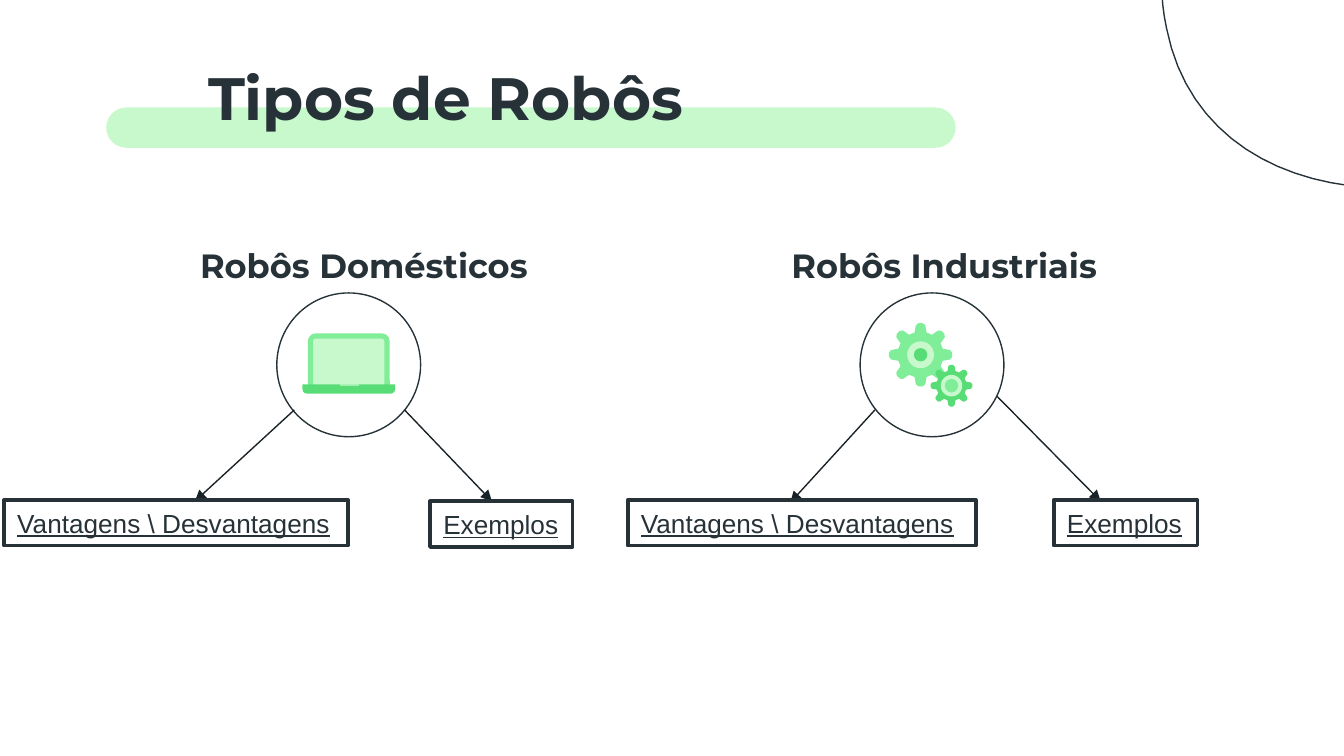
import math
from dataclasses import dataclass

from lxml import etree
from pptx import Presentation
from pptx import util as u
from pptx.dml import color
from pptx.enum import shapes, text
from pptx.oxml import ns
from pptx.slide import Slide

Point = tuple[float, float]
Frame = tuple[float, float, float, float]

COLORS = {
    "ink": "263238",
    "arrow": "192226",
    "paper": "FFFFFF",
    "pale": "C7F9CC",
    "light": "80ED99",
    "deep": "58DD76",
}
HEADING = {"name": "Montserrat", "bold": True}
TITLE = HEADING | {"size": u.Pt(32)}
SUBTITLE = HEADING | {"size": u.Pt(18)}
LABEL = {"name": "Arial", "size": u.Pt(14), "underline": True}
KIND = shapes.MSO_SHAPE
TOOTH = [(-0.045, -0.165), (-0.035, -0.22), (-0.015, -0.235),
         (0.015, -0.235), (0.035, -0.22), (0.045, -0.165)]
BLOB_START = (12.11, -1.85)
BLOB_CURVES = [
    ((12.03, -1.85), (11.93, -1.82), (11.83, -1.77)),
    ((11.44, -1.57), (11.41, -1.13), (10.88, -1.11)),
    ((10.83, -1.1), (10.78, -1.1), (10.73, -1.1)),
    ((10.48, -1.1), (10.24, -1.13), (10.02, -1.13)),
    ((9.75, -1.13), (9.48, -1.09), (9.18, -0.93)),
    ((8.68, -0.66), (8.58, -0.26), (8.68, 0.21)),
    ((8.84, 1.02), (9.54, 1.4), (10.34, 1.4)),
    ((10.69, 1.4), (11.05, 1.33), (11.39, 1.2)),
    ((12.49, 0.78), (13, -0.2), (12.75, -1.17)),
    ((12.68, -1.46), (12.47, -1.85), (12.11, -1.85)),
]


@dataclass
class Branch:
    label: str
    frame: Frame
    start: Point
    end: Point


@dataclass
class Topic:
    heading: str
    heading_frame: Frame
    circle_left: float
    branches: list[Branch]


@dataclass
class Gear:
    center: Point
    scale: float
    body: str
    ring_radius: float
    hub_radius: float
    hub: str


TOPICS = [
    Topic("Robôs Domésticos", (1.39, 1.72, 2.68, 0.41), 2.06, [
        Branch("Vantagens \\ Desvantagens", (0.03, 3.72, 2.56, 0.34), (2.19, 3.05), (1.45, 3.73)),
        Branch("Exemplos", (3.2, 3.73, 1.06, 0.34), (3.01, 3.05), (3.66, 3.73)),
    ]),
    Topic("Robôs Industriais", (5.79, 1.72, 2.52, 0.49), 6.4, [
        Branch("Vantagens \\ Desvantagens", (4.67, 3.72, 2.59, 0.34), (6.51, 3.05), (5.88, 3.74)),
        Branch("Exemplos", (7.84, 3.72, 1.07, 0.34), (7.42, 2.95), (8.19, 3.73)),
    ]),
]
GEARS = [
    Gear((6.85, 2.64), 1, "light", 0.1, 0.05, "deep"),
    Gear((7.08, 2.87), 0.66, "deep", 0.08, 0.05, "light"),
]
LAPTOP = [
    (KIND.ROUND_2_SAME_RECTANGLE, (2.29, 2.48, 0.61, 0.42), "light", (0.14, 0)),
    (KIND.ROUND_2_SAME_RECTANGLE, (2.33, 2.52, 0.53, 0.38), "pale", (0.05, 0)),
    (KIND.ROUND_2_SAME_RECTANGLE, (2.25, 2.86, 0.69, 0.07), "deep", (0.1, 0.5)),
    (KIND.RECTANGLE, (2.53, 2.86, 0.14, 0.01), "pale", ()),
]


def rgb(name: str) -> color.RGBColor:
    return color.RGBColor.from_string(COLORS[name])


def paint(shape, fill: str = "", line: str = "", width: float = 0.75):
    shape.shadow.inherit = False
    if fill:
        shape.fill.solid()
        shape.fill.fore_color.rgb = rgb(fill)
    else:
        shape.fill.background()
    if line:
        shape.line.color.rgb = rgb(line)
        shape.line.width = u.Pt(width)
    else:
        shape.line.fill.background()
    return shape


def add_preset(page: Slide, kind, frame: Frame, adjustments=(), **style):
    shape = page.shapes.add_shape(kind, *map(u.Inches, frame))
    for index, value in enumerate(adjustments):
        shape.adjustments[index] = value
    return paint(shape, **style)


def add_outline(page: Slide, points: list[Point], **style) -> None:
    corners = [(u.Inches(x), u.Inches(y)) for x, y in points]
    builder = page.shapes.build_freeform(*corners[0])
    builder.add_line_segments(corners[1:], close=True)
    paint(builder.convert_to_shape(), **style)


def write(box, words: str, style: dict, anchor, margins: dict) -> None:
    frame = box.text_frame
    settings = {"word_wrap": True, "vertical_anchor": anchor} | margins
    for name, value in settings.items():
        setattr(frame, name, value)
    paragraph = frame.paragraphs[0]
    paragraph.alignment = text.PP_ALIGN.LEFT
    span = paragraph.add_run()
    span.text = words
    for name, value in style.items():
        setattr(span.font, name, value)
    span.font.color.rgb = rgb("ink")


def add_heading(page: Slide, words: str, frame: Frame, style: dict) -> None:
    box = page.shapes.add_textbox(*map(u.Inches, frame))
    margins = {f"margin_{side}": u.Inches(0.1) for side in ("left", "right", "top", "bottom")}
    write(box, words, style, text.MSO_ANCHOR.TOP, margins)


def add_arrow(page: Slide, start: Point, end: Point) -> None:
    arrow = page.shapes.add_connector(shapes.MSO_CONNECTOR.STRAIGHT, *map(u.Inches, start + end))
    arrow.line.color.rgb = rgb("arrow")
    arrow.line.width = u.Pt(0.75)
    etree.SubElement(arrow.line._get_or_add_ln(), ns.qn("a:tailEnd"), type="triangle")
    etree.SubElement(arrow._element.spPr, ns.qn("a:effectLst"))


def add_branch(page: Slide, branch: Branch) -> None:
    add_arrow(page, branch.start, branch.end)
    box = add_preset(page, KIND.RECTANGLE, branch.frame, fill="paper", line="ink", width=2)
    margins = {"margin_left": u.Inches(0.1), "margin_right": u.Inches(0.05)}
    write(box, branch.label, LABEL, text.MSO_ANCHOR.MIDDLE, margins)


def add_topic(page: Slide, topic: Topic) -> None:
    add_heading(page, topic.heading, topic.heading_frame, SUBTITLE)
    add_preset(page, KIND.OVAL, (topic.circle_left, 2.18, 1.07, 1.07), line="ink")
    for branch in topic.branches:
        add_branch(page, branch)


def add_gear(page: Slide, gear: Gear) -> None:
    x, y = gear.center
    points = []
    for tooth in range(8):
        cos, sin = math.cos(tooth * math.pi / 4), math.sin(tooth * math.pi / 4)
        points += [(x + gear.scale * (a * cos - b * sin), y + gear.scale * (a * sin + b * cos))
                   for a, b in TOOTH]
    add_outline(page, points, fill=gear.body)
    for radius, fill in ((gear.ring_radius, "pale"), (gear.hub_radius, gear.hub)):
        add_preset(page, KIND.OVAL, (x - radius, y - radius, 2 * radius, 2 * radius), fill=fill)


def trace_curves(start: Point, curves: list, steps: int = 16) -> list[Point]:
    points = [start]
    for curve in curves:
        corners = (points[-1], *curve)
        for step in range(1, steps + 1):
            t = step / steps
            weights = [math.comb(3, k) * t**k * (1 - t) ** (3 - k) for k in range(4)]
            points.append(tuple(sum(w * c[axis] for w, c in zip(weights, corners)) for axis in (0, 1)))
    return points


def main() -> None:
    """Build the slide about types of robots."""
    deck = Presentation()
    deck.slide_width = u.Inches(10)
    deck.slide_height = u.Inches(10) * 9 // 16
    page = deck.slides.add_slide(deck.slide_layouts[6])
    add_preset(page, KIND.ROUNDED_RECTANGLE, (0.79, 0.8, 6.32, 0.3), (0.5,), fill="pale")
    add_outline(page, trace_curves(BLOB_START, BLOB_CURVES), line="ink")
    add_heading(page, "Tipos de Robôs", (1.45, 0.35, 4.17, 0.67), TITLE)
    for topic in TOPICS:
        add_topic(page, topic)
    for gear in GEARS:
        add_gear(page, gear)
    for kind, frame, fill, adjustments in LAPTOP:
        add_preset(page, kind, frame, adjustments, fill=fill)
    deck.save("out.pptx")


if __name__ == "__main__":
    main()
